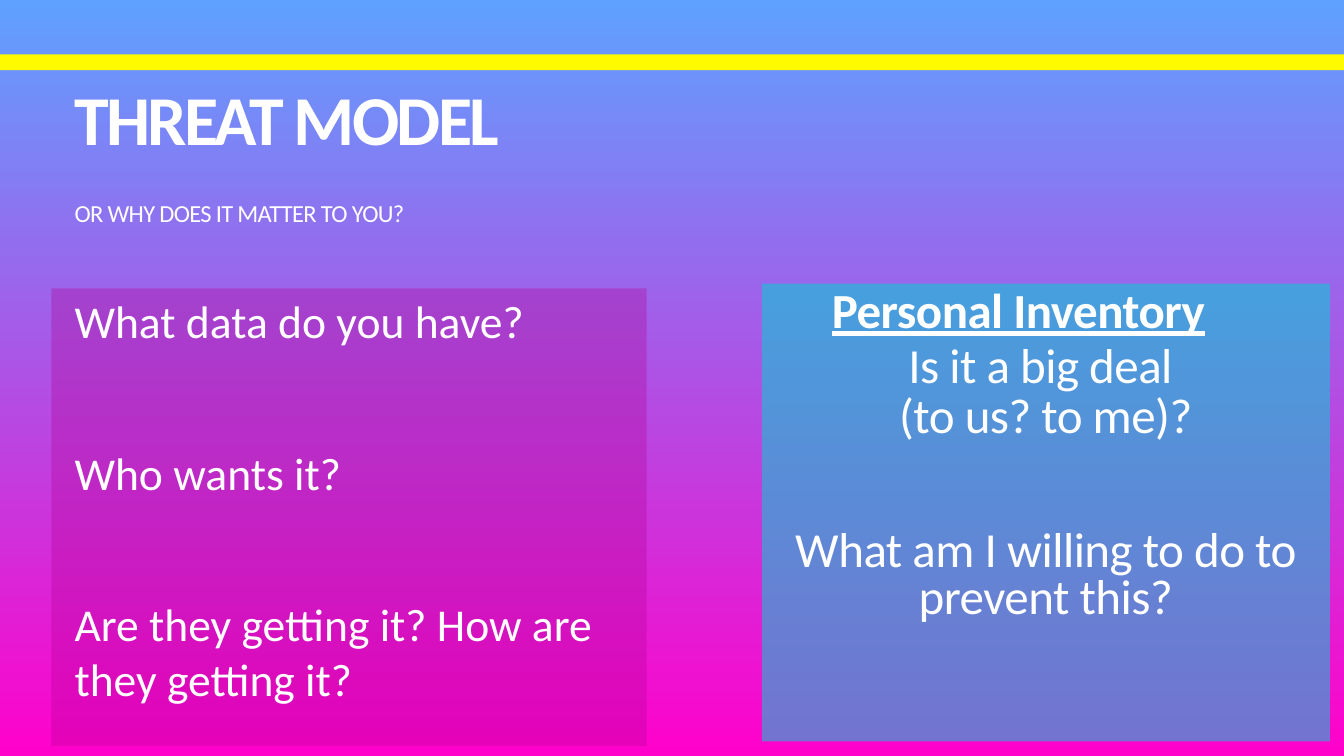
from lxml import etree
from pptx import Presentation
from pptx.dml.color import RGBColor
from pptx.enum import shapes, text
from pptx.oxml.ns import qn
from pptx.util import Inches, Pt

COLORS = {"sky": "5FA1FF", "pink": "FF01CB", "yellow": "FFFA00",
          "teal": "00D3D2", "plum": "B30094", "white": "FFFFFF"}

# left, top, width, height, colour, opacity in percent
BLOCKS = [
    (0, 1.08, 26.67, 0.31, "yellow", 100),
    (15.12, 5.63, 11.27, 9.08, "teal", 54),
    (1.02, 5.72, 11.81, 9.08, "plum", 32),
]

QUESTIONS = ["What data do you have?", "Who wants it?",
             "Are they getting it? How are they getting it?"]
INVENTORY = dict(size=70, track=-0.7, line=0.8, gap=4, mid=True)

# paragraphs, left, top, width, height, format
TEXTS = [
    (["OR WHY DOES IT MATTER TO YOU?"], 1.42, 3.86, 23.92, 0.76,
     dict(size=35, track=-1)),
    (["THREAT MODEL"], 1.42, 1.77, 23.92, 1.94,
     dict(size=100, track=-4, bold=True, line=0.8)),
    (QUESTIONS, 1.42, 5.76, 11.27, 9.07, dict(size=65.1, gap=138)),
    (["Is it a big deal ", "(to us? to me)?"], 15.36, 6.58, 10.78, 2.48,
     dict(INVENTORY, align="CENTER")),
    (["Personal Inventory"], 15.36, 5.55, 8.61, 1.39,
     dict(INVENTORY, align="RIGHT", bold=True, under=True)),
    (["What am I willing to do to prevent this?"], 15.36, 10.23, 10.78, 2.43,
     dict(INVENTORY, align="CENTER")),
]


def rgb(name):
    return RGBColor.from_string(COLORS[name])


def add_block(slide, left, top, width, height, color, alpha):
    block = slide.shapes.add_shape(
        shapes.MSO_SHAPE.RECTANGLE, *map(Inches, (left, top, width, height)))
    block.shadow.inherit = False
    block.line.fill.background()
    block.fill.solid()
    block.fill.fore_color.rgb = rgb(color)
    if alpha < 100:
        tint = block.fill._xPr.find(".//" + qn("a:srgbClr"))
        etree.SubElement(tint, qn("a:alpha"), val=str(alpha * 1000))


def add_text(slide, lines, left, top, width, height, size, track=0, bold=False,
             under=False, line=1.0, gap=0, align="LEFT", mid=False):
    """Add a text box; track is letter spacing and gap the space between paragraphs."""
    box = slide.shapes.add_textbox(*map(Inches, (left, top, width, height)))
    frame = box.text_frame
    frame.word_wrap = True
    frame.margin_left = frame.margin_right = Inches(0.06)
    frame.margin_top = frame.margin_bottom = Inches(0.06)
    anchor = text.MSO_ANCHOR
    frame.vertical_anchor = anchor.MIDDLE if mid else anchor.TOP
    for i, words in enumerate(lines):
        para = frame.add_paragraph() if i else frame.paragraphs[0]
        para.alignment = text.PP_ALIGN[align]
        para.line_spacing = line
        if i:
            para.space_before = Pt(gap)
        run = para.add_run()
        run.text = words
        font = run.font
        font.name, font.size = "Calibri", Pt(size)
        font.bold, font.underline = bold, under
        font.color.rgb = rgb("white")
        if track:
            run._r.get_or_add_rPr().set("spc", str(round(track * 100)))


def main():
    deck = Presentation()
    deck.slide_width, deck.slide_height = Inches(26.67), Inches(15)
    slide = deck.slides.add_slide(deck.slide_layouts[6])
    fill = slide.background.fill
    fill.gradient()
    fill.gradient_angle = 270
    for stop, place, name in zip(fill.gradient_stops, (0, 1), ("sky", "pink")):
        stop.position = place
        stop.color.rgb = rgb(name)
    for block in BLOCKS:
        add_block(slide, *block)
    for lines, left, top, width, height, style in TEXTS:
        add_text(slide, lines, left, top, width, height, **style)
    deck.save("out.pptx")


if __name__ == "__main__":
    main()
